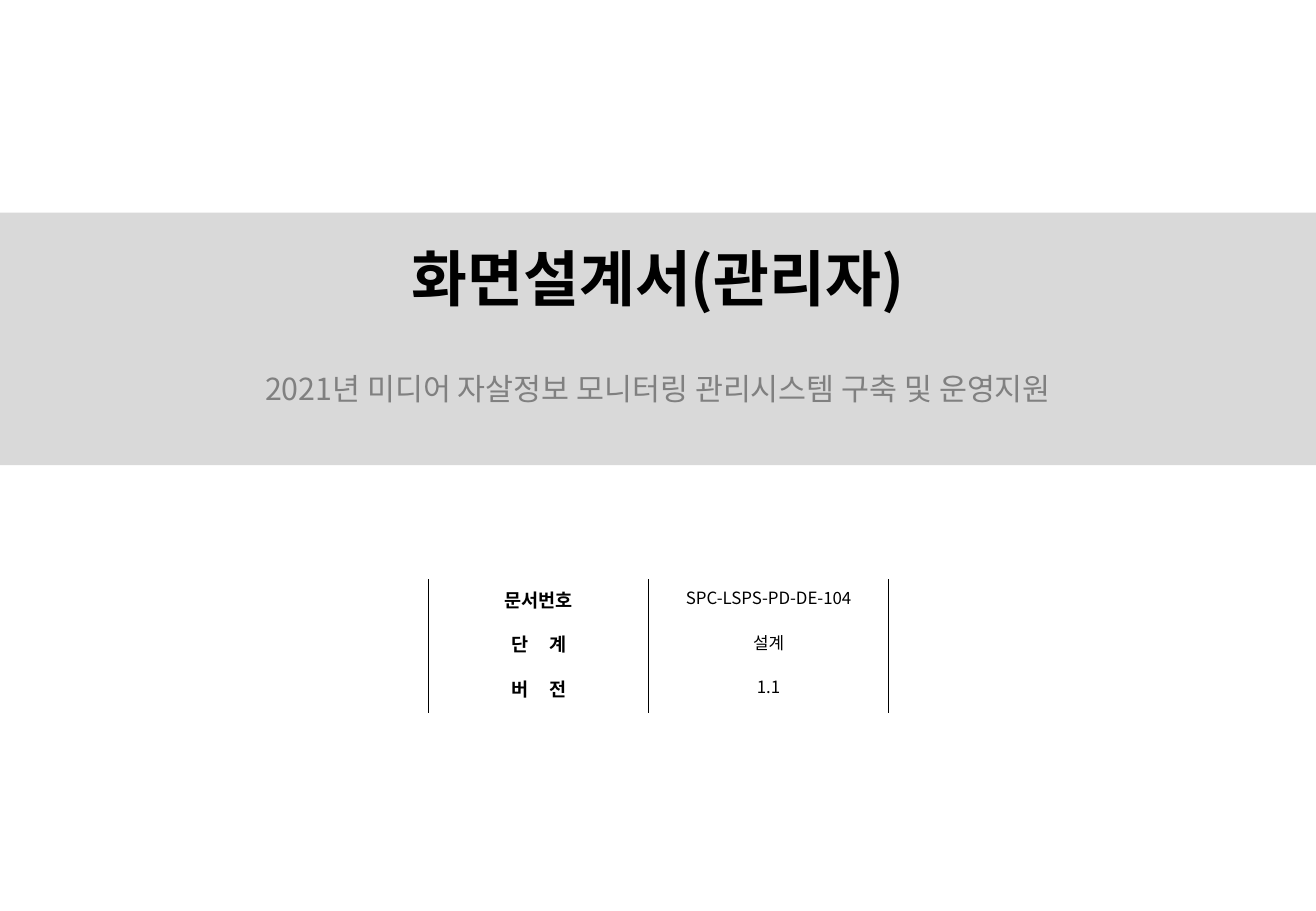
from dataclasses import dataclass

from lxml import etree
from pptx import Presentation
from pptx import util as u
from pptx.dml.color import RGBColor
from pptx.enum import shapes, text
from pptx.oxml.ns import qn


@dataclass(frozen=True)
class Theme:
    font: str = "Noto Sans CJK KR"
    ink: str = "000000"
    soft: str = "808080"
    band: str = "D9D9D9"
    paper: str = "FFFFFF"
    title: int = 36
    sub: int = 18
    label: int = 11
    value: int = 10
    rule: float = 0.75


THEME = Theme()
WIDE, HIGH = 10.83, 7.5


def place(item, box):
    item.left, item.top, item.width, item.height = map(u.Inches, box)


def style(para, size, color, bold=False):
    para.alignment = text.PP_ALIGN.CENTER
    font = para.font
    font.name, font.size, font.bold = THEME.font, u.Pt(size), bold
    font.color.rgb = RGBColor.from_string(color)
    latin = para._p.pPr.find(qn("a:defRPr")).find(qn("a:latin"))
    east = etree.Element(qn("a:ea"), typeface=THEME.font)
    latin.addnext(east)


def headline(item, box, words, size, color, bold=False):
    frame = item.text_frame
    frame.text = words
    frame.word_wrap = True
    frame.vertical_anchor = text.MSO_ANCHOR.TOP
    frame.auto_size = text.MSO_AUTO_SIZE.SHAPE_TO_FIT_TEXT
    para = frame.paragraphs[0]
    para.line_spacing = 1.5
    style(para, size, color, bold)
    place(item, box)


def banner(slide, box):
    left, top, width, height = box
    band = slide.shapes.add_shape(
        shapes.MSO_SHAPE.RECTANGLE, *map(u.Inches, box))
    band.shadow.inherit = False
    band.fill.solid()
    band.fill.fore_color.rgb = RGBColor.from_string(THEME.band)
    band.line.fill.background()
    title = slide.shapes.title
    band.element.addnext(title.element)
    headline(title, (left, top - 0.12, width, 0.89),
             "화면설계서(관리자)", THEME.title, THEME.ink, True)
    sub = slide.shapes.add_textbox(0, 0, 0, 0)
    headline(sub, (left, top + 1.1, width, 0.56),
             "2021년 미디어 자살정보 모니터링 관리시스템 구축 및 운영지원",
             THEME.sub, THEME.soft)


def border(cell):
    props = cell._tc.get_or_add_tcPr()
    for side in ("L", "R", "T", "B"):
        line = etree.SubElement(props, qn(f"a:ln{side}"),
                                w=str(u.Pt(THEME.rule)))
        if side in "LR":
            fill = etree.SubElement(line, qn("a:solidFill"))
            etree.SubElement(fill, qn("a:srgbClr"), val=THEME.ink)
        else:
            etree.SubElement(line, qn("a:noFill"))


def spread(para, words):
    for char in words:
        run = para.add_run()
        run.text = char
        if char == " ":
            run.font._element.set("spc", "1000")


def details(slide, box):
    rows = (("문서번호", "SPC-LSPS-PD-DE-104"),
            ("단 계", "설계"),
            ("버 전", "1.1"))
    grid = slide.shapes.add_table(
        len(rows), 2, *map(u.Inches, box)).table
    grid.first_row = grid.horz_banding = False
    grid.columns[0].width = u.Inches(1.81)
    grid.columns[1].width = u.Inches(box[2] - 1.81)
    for r, row in enumerate(rows):
        for c, words in enumerate(row):
            cell = grid.cell(r, c)
            border(cell)
            cell.fill.solid()
            cell.fill.fore_color.rgb = RGBColor.from_string(THEME.paper)
            para = cell.text_frame.paragraphs[0]
            if " " in words:
                spread(para, words)
            else:
                para.text = words
            size = THEME.value if c else THEME.label
            style(para, size, THEME.ink, c == 0)


def main():
    deck = Presentation()
    deck.slide_width, deck.slide_height = u.Inches(WIDE), u.Inches(HIGH)
    slide = deck.slides.add_slide(deck.slide_layouts.get_by_name("Title Only"))
    banner(slide, (0, 1.75, WIDE, 2.08))
    details(slide, (3.53, 4.77, 3.78, 1.1))
    deck.save("out.pptx")


if __name__ == "__main__":
    main()
